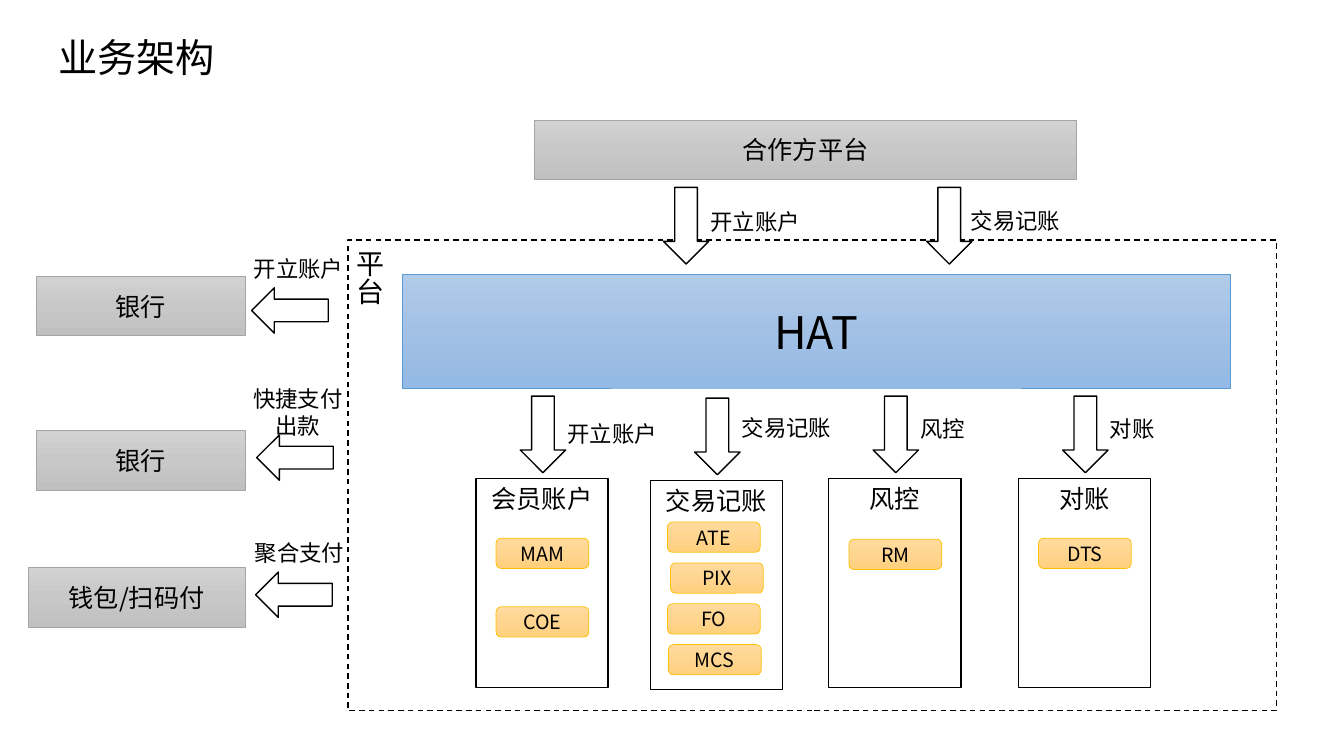
from copy import deepcopy
from dataclasses import dataclass

from pptx import Presentation
from pptx.dml.color import RGBColor
from pptx.enum.dml import MSO_LINE
from pptx.enum.shapes import MSO_SHAPE
from pptx.enum.text import MSO_ANCHOR, PP_ALIGN
from pptx.oxml.ns import qn
from pptx.util import Inches, Pt

RECT = MSO_SHAPE.RECTANGLE
ROUNDED = MSO_SHAPE.ROUNDED_RECTANGLE
ARROW = MSO_SHAPE.DOWN_ARROW
DASH = MSO_LINE.DASH
TOP, MIDDLE, BOTTOM = MSO_ANCHOR.TOP, MSO_ANCHOR.MIDDLE, MSO_ANCHOR.BOTTOM
LEFT, CENTER = PP_ALIGN.LEFT, PP_ALIGN.CENTER


@dataclass(frozen=True)
class Theme:
    """Colours, type sizes and grid unit of the deck."""

    font: str = "Noto Sans CJK SC"
    ink: str = "000000"
    paper: tuple = ("FFFFFF",)
    grey: tuple = ("D2D2D2", "C8C8C8", "C0C0C0")
    grey_edge: str = "A5A5A5"
    blue: tuple = ("B1CBE9", "A3C1E5", "93B9E4")
    blue_edge: str = "5B9BD5"
    amber: tuple = ("FFDB9E", "FFD590", "FFD07C")
    amber_edge: str = "FFC000"
    hero: int = 32
    title: int = 28
    frame: int = 20
    body: int = 18
    label: int = 16
    chip: int = 14
    leading: float = 1.2
    cell: float = 0.1


class Diagram:
    """Draws diagram elements on a slide, placed in grid columns and rows."""

    def __init__(self, slide, theme):
        """Keep the current slide and its style."""
        self.slide = slide
        self.theme = theme

    def grid(self, *cells):
        """Turn grid cells into lengths."""
        return [Inches(cell * self.theme.cell) for cell in cells]

    def add_text(self, box, text, size, align=CENTER, anchor=MIDDLE):
        """Fill a box with one paragraph for each line."""
        frame = box.text_frame
        frame.word_wrap = True
        frame.vertical_anchor = anchor
        for index, line in enumerate(text.split("\n")):
            para = frame.add_paragraph() if index else frame.paragraphs[0]
            para.alignment = align
            para.line_spacing = Pt(size * self.theme.leading)
            span = para.add_run()
            span.text = line
            span.font.size = Pt(size)
            span.font.name = self.theme.font
            span.font.color.rgb = RGBColor.from_string(self.theme.ink)
        for latin in list(box.element.iter(qn("a:latin"))):
            east_asian = deepcopy(latin)
            east_asian.tag = qn("a:ea")
            latin.addnext(east_asian)

    def title(self, text, *place):
        """Place and format the title placeholder."""
        box = self.slide.shapes.title
        box.left, box.top, box.width, box.height = self.grid(*place)
        self.add_text(box, text, self.theme.title, LEFT)

    def paint(self, box, colours):
        """Fill a shape plainly or with a vertical gradient."""
        if len(colours) == 1:
            box.fill.solid()
            box.fill.fore_color.rgb = RGBColor.from_string(colours[0])
            return
        box.fill.gradient()
        box.fill.gradient_angle = 270
        stops = box.element.find(".//" + qn("a:gsLst"))
        stops.insert(1, deepcopy(stops[0]))
        for index, (stop, colour) in enumerate(zip(box.fill.gradient_stops, colours)):
            stop.position = index / (len(colours) - 1)
            stop.color.rgb = RGBColor.from_string(colour)

    def shape(self, kind, place, colours, edge, weight):
        """Add a painted shape with an outline."""
        box = self.slide.shapes.add_shape(kind, *self.grid(*place))
        box.shadow.inherit = False
        self.paint(box, colours)
        box.line.color.rgb = RGBColor.from_string(edge)
        box.line.width = Pt(weight)
        return box

    def frame(self, text, *place):
        """Add the dashed system boundary with its vertical name."""
        box = self.shape(RECT, place, self.theme.paper, self.theme.ink, 1)
        box.line.dash_style = DASH
        self.add_text(box, text, self.theme.frame, LEFT, BOTTOM)
        box.element.find(".//" + qn("a:bodyPr")).set("vert", "eaVert")

    def party(self, text, *place):
        """Add a grey box for an outside party."""
        box = self.shape(RECT, place, self.theme.grey, self.theme.grey_edge, 0.5)
        self.add_text(box, text, self.theme.body)

    def core(self, text, *place):
        """Add the blue central system."""
        box = self.shape(RECT, place, self.theme.blue, self.theme.blue_edge, 0.5)
        self.add_text(box, text, self.theme.hero)

    def card(self, text, left, top):
        """Add a white card for a subsystem."""
        place = (left, top, 13.1, 20.7)
        box = self.shape(RECT, place, self.theme.paper, self.theme.ink, 1)
        self.add_text(box, text, self.theme.body, anchor=TOP)

    def chip(self, text, left, top):
        """Add an amber chip for a module."""
        place = (left, top, 9.2, 3)
        box = self.shape(ROUNDED, place, self.theme.amber, self.theme.amber_edge, 0.5)
        self.add_text(box, text, self.theme.chip)

    def arrow(self, left, top, turn=0):
        """Add a block arrow, pointing down unless turned."""
        place = (left, top, 4.5, 7.6)
        self.shape(ARROW, place, self.theme.paper, self.theme.ink, 1).rotation = turn

    def label(self, text, left, top, width=12.6, align=LEFT):
        """Add the caption of an arrow."""
        height = 1 + 2.7 * len(text.split("\n"))
        box = self.slide.shapes.add_textbox(*self.grid(left, top, width, height))
        self.add_text(box, text, self.theme.label, align, TOP)


PARTIES = [
    ("银行", 3.6, 27.4, (26.5, 27), "开立账户", (23.3, 24.8, 12.6)),
    ("银行", 3.6, 42.7, (27, 41.6), "快捷支付\n出款", (21.3, 37.7, 16.5)),
    ("钱包/扫码付", 2.8, 56.3, (26.9, 55.2), "聚合支付", (23.4, 53, 12.6)),
]
REQUESTS = [("开立账户", 65.8, 69.5, 20.2), ("交易记账", 91.9, 95.3, 20.1)]
SUBSYSTEMS = [
    ("会员账户", "开立账户", 47.2, 47.5, 41.2, 53.4, 6.8, [("MAM", 2), ("COE", 2)]),
    ("交易记账", "交易记账", 64.5, 47.7, 40.6, 51.8, 4.05,
     [("ATE", 1.7), ("PIX", 2), ("FO", 1.7), ("MCS", 1.8)]),
    ("风控", "风控", 82.2, 47.5, 40.7, 53.5, 0, [("RM", 2)]),
    ("对账", "对账", 101, 47.5, 40.7, 53.4, 0, [("DTS", 2)]),
]
PARTY_RIGHT = 24.3


def main():
    """Build the business architecture slide."""
    deck = Presentation()
    deck.slide_width, deck.slide_height = Inches(13.33), Inches(7.5)
    page = Diagram(deck.slides.add_slide(deck.slide_layouts[5]), Theme())
    page.title("业务架构", 4.8, 2.8, 95.8, 5.7)
    page.frame("平台", 34.5, 23.8, 92.1, 46.7)
    page.party("合作方平台", 53, 11.9, 53.8, 5.9)
    page.core("HAT", 39.9, 27.2, 82.1, 11.3)
    for text, arrow_left, label_left, label_top in REQUESTS:
        page.arrow(arrow_left, 18.6)
        page.label(text, label_left, label_top)
    for name, left, top, arrow_place, text, label_place in PARTIES:
        page.party(name, left, top, PARTY_RIGHT - left, 5.9)
        page.arrow(*arrow_place, turn=90)
        page.label(text, *label_place, align=CENTER)
    for name, text, left, top, label_top, chip_top, step, chips in SUBSYSTEMS:
        page.card(name, left, top)
        page.arrow(left + 4.4, top - 8.2)
        page.label(text, left + 8.1, label_top)
        for index, (module, inset) in enumerate(chips):
            page.chip(module, left + inset, chip_top + index * step)
    deck.save("out.pptx")


if __name__ == "__main__":
    main()
